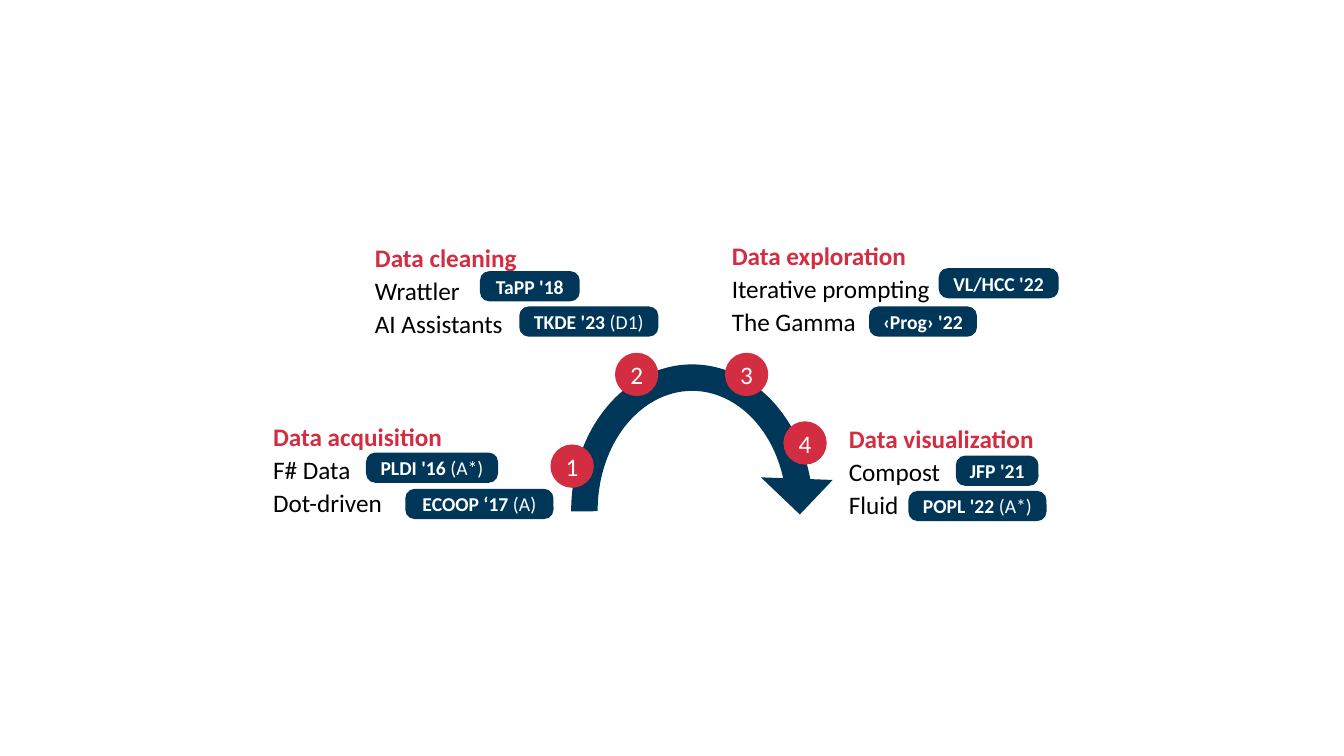
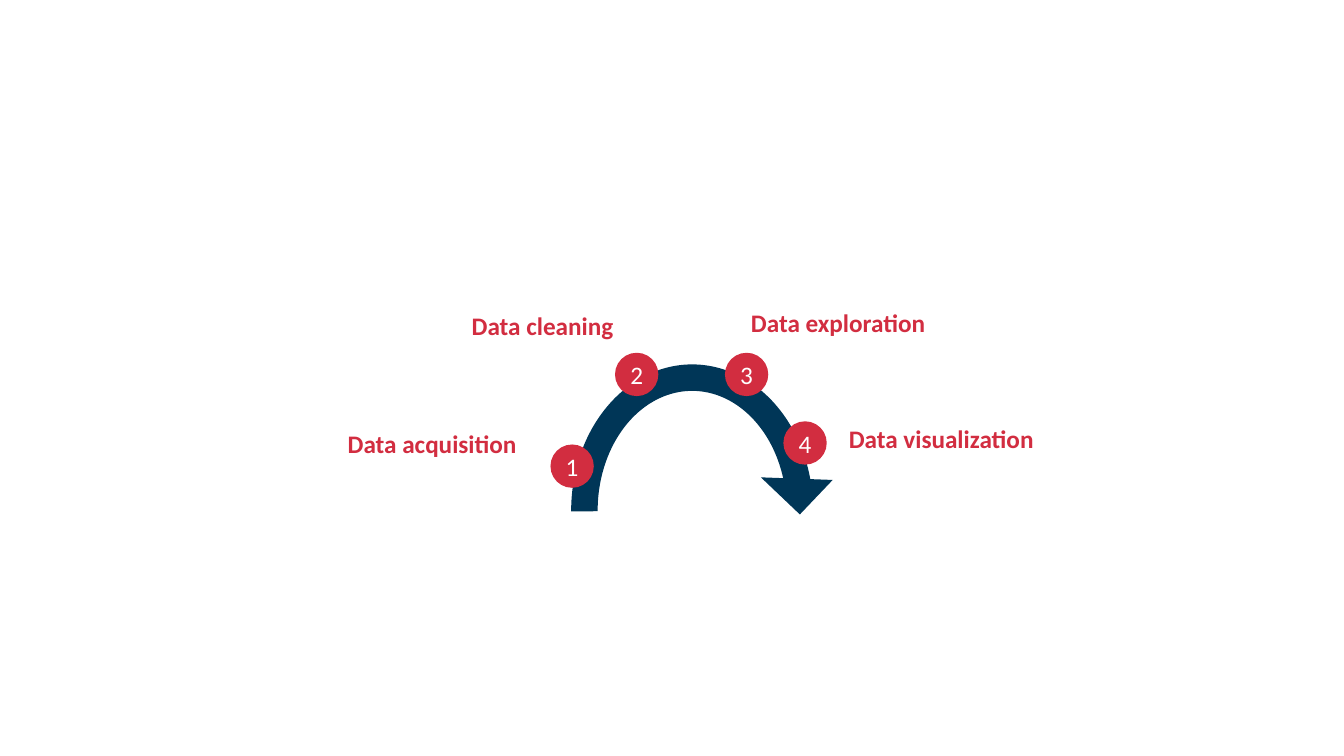
from pptx import Presentation
from pptx.dml.color import RGBColor
from pptx.enum.shapes import MSO_SHAPE as SHAPE
from pptx.enum.text import MSO_ANCHOR as ANCHOR, PP_ALIGN as ALIGN
from pptx.util import Inches, Pt

NAVY = RGBColor(0x00, 0x36, 0x57)
RED = RGBColor(0xD2, 0x2D, 0x40)
WHITE = RGBColor(0xFF, 0xFF, 0xFF)
BLACK = RGBColor(0x00, 0x00, 0x00)
FONT = "Calibri"
DOT = 0.43
CHIP_HEIGHT = 0.3
LABEL_WIDTH = 2.53
LINE_HEIGHT = 0.33

DOTS = [(5.46, 4.41), (6.1, 3.5), (7.19, 3.5), (7.77, 4.18)]
ARC = [0.092, 11.423, 205.82, 107.759, 0.125]

STAGES = [
    ("Data acquisition", ["F# Data", "Dot-driven"]),
    ("Data cleaning", ["Wrattler", "AI Assistants"]),
    ("Data exploration", ["Iterative prompting", "The Gamma"]),
    ("Data visualization", ["Compost", "Fluid"]),
]
DETAILED_SPOTS = [(2.61, 4.1), (3.62, 2.32), (7.16, 2.3), (8.32, 4.12)]
BRIEF_SPOTS = [(3.35, 4.17), (4.58, 3), (7.35, 2.97), (8.32, 4.12)]

VENUES = [
    (3.63, 4.49, 1.31, "PLDI '16", " (A*)"),
    (4.02, 4.85, 1.47, "ECOOP ‘17", " (A)"),
    (4.76, 2.69, 0.99, "TaPP '18", ""),
    (5.15, 3.04, 1.38, "TKDE '23", " (D1)"),
    (9.31, 2.66, 1.19, "VL/HCC '22", ""),
    (8.62, 3.04, 1.07, "‹Prog› '22", ""),
    (9.48, 4.52, 0.82, "JFP '21", ""),
    (9.01, 4.87, 1.37, "POPL '22", " (A*)"),
]


def add_filled(slide, kind, left, top, width, height, color):
    shape = slide.shapes.add_shape(
        kind, Inches(left), Inches(top), Inches(width), Inches(height))
    shape.shadow.inherit = False
    shape.fill.solid()
    shape.fill.fore_color.rgb = color
    shape.line.fill.background()
    frame = shape.text_frame
    frame.margin_left = frame.margin_right = 0
    frame.margin_top = frame.margin_bottom = 0
    frame.vertical_anchor = ANCHOR.MIDDLE
    frame.paragraphs[0].alignment = ALIGN.CENTER
    return shape


def style(font, size, color, bold=False):
    font.name = FONT
    font.size = Pt(size)
    font.color.rgb = color
    font.bold = bold


prs = Presentation()
prs.slide_width = Inches(13.33)
prs.slide_height = Inches(7.5)

for spots, detailed in [(DETAILED_SPOTS, True), (BRIEF_SPOTS, False)]:
    slide = prs.slides.add_slide(prs.slide_layouts[6])

    arc = add_filled(slide, SHAPE.CIRCULAR_ARROW, 5.44, 3.39, 2.85, 3.35, NAVY)
    for index, value in enumerate(ARC):
        arc.adjustments[index] = value

    for number, (left, top) in enumerate(DOTS, 1):
        dot = add_filled(slide, SHAPE.OVAL, left, top, DOT, DOT, RED)
        digit = dot.text_frame.paragraphs[0]
        digit.text = str(number)
        style(digit.font, 18, WHITE)

    for (left, top), (heading, tools) in zip(spots, STAGES):
        lines = [heading] + (tools if detailed else [])
        label = slide.shapes.add_textbox(
            Inches(left), Inches(top), Inches(LABEL_WIDTH),
            Inches(0.09 + LINE_HEIGHT * len(lines))).text_frame
        label.word_wrap = True
        label.text = "\n".join(lines)
        for index, line in enumerate(label.paragraphs):
            line.line_spacing = 1.1
            style(line.font, 18, BLACK if index else RED, bold=index == 0)

    if detailed:
        for left, top, width, venue, rank in VENUES:
            chip = add_filled(slide, SHAPE.ROUNDED_RECTANGLE,
                              left, top, width, CHIP_HEIGHT, NAVY)
            chip.adjustments[0] = 0.31
            text = chip.text_frame.paragraphs[0]
            style(text.font, 14, WHITE, bold=True)
            text.add_run().text = venue
            if rank:
                grade = text.add_run()
                grade.text = rank
                grade.font.bold = False

prs.save("out.pptx")
